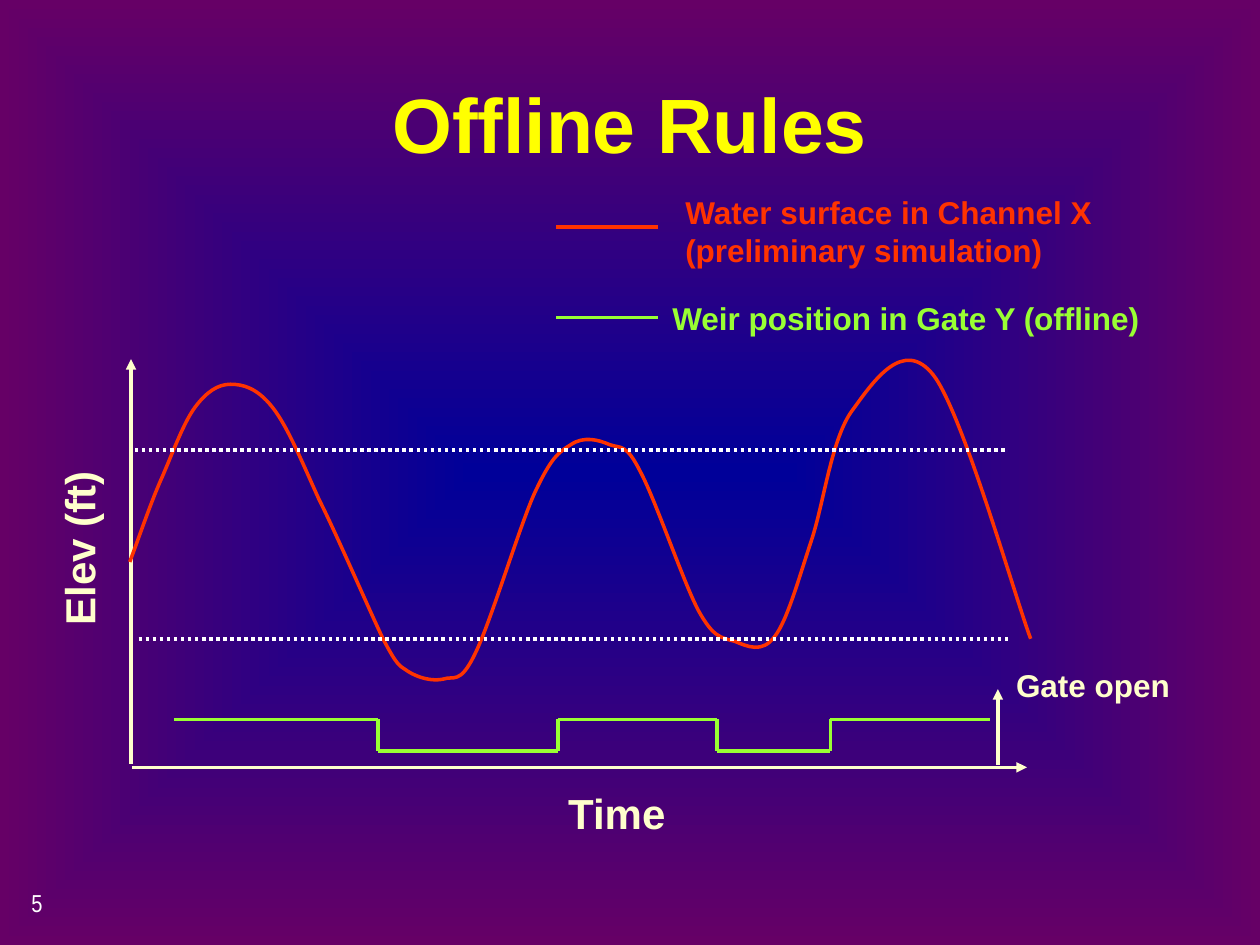
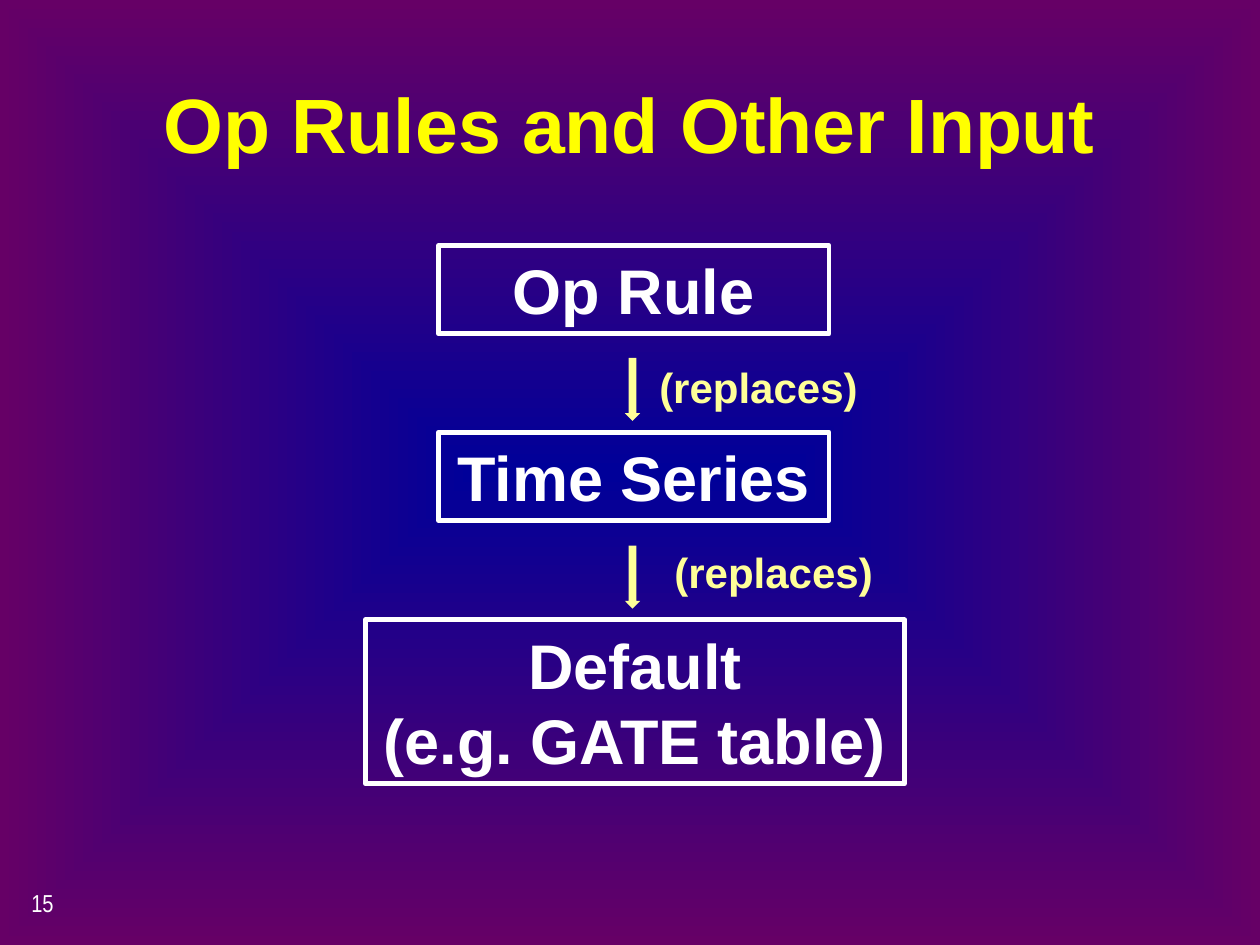
from dataclasses import dataclass
from itertools import pairwise

from lxml import etree
from pptx import Presentation
from pptx.dml.color import RGBColor
from pptx.enum.dml import MSO_LINE
from pptx.enum.shapes import MSO_CONNECTOR, MSO_SHAPE
from pptx.enum.text import MSO_ANCHOR as ANCHOR, PP_ALIGN as ALIGN
from pptx.oxml import parse_xml
from pptx.oxml.ns import nsdecls, qn
from pptx.util import Inches, Pt

COLORS = {
    "center": "000099", "edge": "660066", "title": "FFFF00",
    "axis": "FFFFCC", "water": "FF3300", "weir": "99FF33",
    "white": "FFFFFF", "arrow": "FFFF99",
}


@dataclass
class Label:
    text: str
    left: float
    top: float
    width: float
    height: float
    size: int
    color: str
    bold: bool = True
    font: str = "Arial"
    align: ALIGN = ALIGN.CENTER
    anchor: ANCHOR = ANCHOR.TOP
    rotation: int = 0


@dataclass
class Line:
    x1: float
    y1: float
    x2: float
    y2: float
    color: str
    arrow: bool = False
    dotted: bool = False


@dataclass
class Box:
    text: str
    left: float
    top: float
    width: float
    height: float


AXIS_LABELS = [
    Label("Elev (ft)", -1.05, 4.1, 3.35, 0.5, 24, "axis", rotation=270),
    Label("Time", 3.22, 6.2, 3.35, 0.5, 24, "axis"),
    Label("Gate open", 7.4, 5.24, 2.55, 0.4, 18, "axis"),
]
LEGEND_LABELS = [
    Label("Water surface in Channel X (preliminary simulation)",
          5.34, 1.63, 3.75, 0.4, 18, "water", align=ALIGN.LEFT, anchor=ANCHOR.MIDDLE),
    Label("Weir position in Gate Y (offline)",
          5.18, 2.32, 4.02, 0.4, 18, "weir", anchor=ANCHOR.MIDDLE),
]
AXES = [
    Line(1.05, 6.09, 8.15, 6.09, "axis", arrow=True),
    Line(1.04, 6.06, 1.04, 2.85, "axis", arrow=True),
]
GATE_ARROW = Line(7.92, 6.07, 7.92, 5.47, "axis", arrow=True)
THRESHOLDS = [
    Line(1.1, 5.07, 8, 5.07, "white", dotted=True),
    Line(1.07, 3.57, 7.98, 3.57, "white", dotted=True),
]
LEGEND_LINES = [
    Line(5.22, 1.8, 4.41, 1.8, "water"),
    Line(5.22, 2.52, 4.41, 2.52, "weir"),
]

WEIR_TIMES = [1.38, 3.0, 4.43, 5.69, 6.59, 7.86]
WEIR_HIGH, WEIR_LOW = 5.71, 5.96

# Start point, then three points (two handles and an end) for each curve
WATER_START = (1.03, 4.46)
WATER_CURVES = [
    [(1.12, 4.22), (1.2, 3.98), (1.29, 3.78)],
    [(1.38, 3.57), (1.46, 3.35), (1.55, 3.23)],
    [(1.64, 3.11), (1.73, 3.05), (1.83, 3.05)],
    [(1.93, 3.05), (2.04, 3.08), (2.16, 3.23)],
    [(2.28, 3.38), (2.39, 3.65), (2.53, 3.96)],
    [(2.68, 4.26), (2.93, 4.84), (3.04, 5.07)],
    [(3.16, 5.3), (3.17, 5.28), (3.24, 5.33)],
    [(3.32, 5.38), (3.43, 5.41), (3.52, 5.39)],
    [(3.6, 5.36), (3.65, 5.44), (3.77, 5.19)],
    [(3.89, 4.95), (4.12, 4.19), (4.24, 3.92)],
    [(4.37, 3.64), (4.43, 3.59), (4.53, 3.53)],
    [(4.63, 3.46), (4.75, 3.49), (4.84, 3.53)],
    [(4.93, 3.56), (4.97, 3.52), (5.08, 3.74)],
    [(5.2, 3.96), (5.42, 4.61), (5.54, 4.84)],
    [(5.66, 5.06), (5.72, 5.06), (5.83, 5.09)],
    [(5.93, 5.13), (6.05, 5.19), (6.15, 5.05)],
    [(6.25, 4.92), (6.34, 4.59), (6.44, 4.29)],
    [(6.54, 3.99), (6.6, 3.47), (6.77, 3.25)],
    [(6.93, 3.03), (7.17, 2.67), (7.41, 2.98)],
    [(7.64, 3.28), (8.05, 4.72), (8.18, 5.07)],
]

RULE_BOXES = [
    Box("Op Rule", 3.48, 1.95, 3.1, 0.7),
    Box("Time Series", 3.48, 3.43, 3.1, 0.7),
    Box("Default\n(e.g. GATE table)", 2.9, 4.92, 4.28, 1.3),
]
ARROW_TOPS = [2.84, 4.33]
REPLACES_LABELS = [
    Label("(replaces)", 5, 2.82, 2.04, 0.5, 24, "arrow"),
    Label("(replaces)", 5.12, 4.29, 2.04, 0.5, 24, "arrow"),
]


def rgb(name: str) -> RGBColor:
    return RGBColor.from_string(COLORS[name])


def set_background(master) -> None:
    """Give every slide a gradient that spreads from its center."""
    master.background.fill.solid()
    bg = master.element.cSld.find(qn("p:bg")).find(qn("p:bgPr"))
    solid = bg.find(qn("a:solidFill"))
    bg.replace(solid, parse_xml(
        f'<a:gradFill {nsdecls("a")} rotWithShape="0"><a:gsLst>'
        f'<a:gs pos="0"><a:srgbClr val="{COLORS["center"]}"/></a:gs>'
        f'<a:gs pos="100000"><a:srgbClr val="{COLORS["edge"]}"/></a:gs></a:gsLst>'
        '<a:path path="rect"><a:fillToRect l="50000" t="50000" r="50000" b="50000"/>'
        '</a:path></a:gradFill>'))


def write_text(sp, text: str, size: int, color: str, bold: bool = True,
               font: str = "Arial", align: ALIGN = ALIGN.CENTER,
               anchor: ANCHOR = ANCHOR.TOP) -> None:
    tf = sp.text_frame
    tf.word_wrap = True
    tf.vertical_anchor = anchor
    for i, line in enumerate(text.split("\n")):
        p = tf.add_paragraph() if i else tf.paragraphs[0]
        p.alignment = align
        r = p.add_run()
        r.text = line
        r.font.name = font
        r.font.size = Pt(size)
        r.font.bold = bold
        r.font.color.rgb = rgb(color)


def add_label(slide, label: Label) -> None:
    sp = slide.shapes.add_textbox(Inches(label.left), Inches(label.top),
                                  Inches(label.width), Inches(label.height))
    sp.rotation = label.rotation
    write_text(sp, label.text, label.size, label.color, label.bold,
               label.font, label.align, label.anchor)


def add_line(slide, line: Line) -> None:
    sp = slide.shapes.add_connector(MSO_CONNECTOR.STRAIGHT,
                                    Inches(line.x1), Inches(line.y1),
                                    Inches(line.x2), Inches(line.y2))
    sp.line.color.rgb = rgb(line.color)
    sp.line.width = Pt(2)
    if line.dotted:
        sp.line.dash_style = MSO_LINE.ROUND_DOT
    props = sp.element.spPr
    if line.arrow:
        etree.SubElement(props.find(qn("a:ln")), qn("a:tailEnd"), type="triangle")
    etree.SubElement(props, qn("a:effectLst"))


def add_water_curve(slide) -> None:
    """Draw the vertices as a freeform, then turn each three into one curve."""
    points = [(Inches(x), Inches(y)) for curve in WATER_CURVES for x, y in curve]
    builder = slide.shapes.build_freeform(*map(Inches, WATER_START))
    builder.add_line_segments(points, close=False)
    sp = builder.convert_to_shape()
    sp.shadow.inherit = False
    sp.fill.background()
    sp.line.color.rgb = rgb("water")
    sp.line.width = Pt(2)
    segments = list(sp.element.iter(qn("a:lnTo")))
    outline = segments[0].getparent()
    for i in range(0, len(segments), 3):
        curve = etree.SubElement(outline, qn("a:cubicBezTo"))
        for segment in segments[i:i + 3]:
            curve.append(segment[0])
            outline.remove(segment)


def add_weir_steps(slide) -> None:
    for i, (start, end) in enumerate(pairwise(WEIR_TIMES)):
        level = WEIR_LOW if i % 2 else WEIR_HIGH
        add_line(slide, Line(start, level, end, level, "weir"))
    for time in WEIR_TIMES[1:-1]:
        add_line(slide, Line(time, WEIR_LOW, time, WEIR_HIGH, "weir"))


def add_box(slide, box: Box) -> None:
    sp = slide.shapes.add_shape(MSO_SHAPE.RECTANGLE, Inches(box.left), Inches(box.top),
                                Inches(box.width), Inches(box.height))
    sp.shadow.inherit = False
    sp.fill.background()
    sp.line.color.rgb = rgb("white")
    sp.line.width = Pt(2.75)
    write_text(sp, box.text, 36, "white")


def add_down_arrow(slide, top: float) -> None:
    sp = slide.shapes.add_shape(MSO_SHAPE.DOWN_ARROW, Inches(4.96), Inches(top),
                                Inches(0.12), Inches(0.5))
    sp.shadow.inherit = False
    sp.fill.solid()
    sp.fill.fore_color.rgb = rgb("arrow")
    sp.line.fill.background()


def add_slide(prs, title: str, number: int):
    """Add a blank slide with the shared title and page number."""
    slide = prs.slides.add_slide(prs.slide_layouts[6])
    add_label(slide, Label(title, 0.75, 0.35, 8.5, 1.25, 44, "title",
                           anchor=ANCHOR.MIDDLE))
    add_label(slide, Label(str(number), 0.15, 7, 2.08, 0.5, 14, "white", bold=False,
                           font="Arial Narrow", align=ALIGN.LEFT))
    return slide


def build_offline_rules(prs) -> None:
    slide = add_slide(prs, "Offline Rules", 5)
    for axis in AXES:
        add_line(slide, axis)
    add_water_curve(slide)
    for line in THRESHOLDS:
        add_line(slide, line)
    add_weir_steps(slide)
    for line in [GATE_ARROW, *LEGEND_LINES]:
        add_line(slide, line)
    for label in AXIS_LABELS + LEGEND_LABELS:
        add_label(slide, label)


def build_other_input(prs) -> None:
    slide = add_slide(prs, "Op Rules and Other Input", 15)
    for box in RULE_BOXES:
        add_box(slide, box)
    for top in ARROW_TOPS:
        add_down_arrow(slide, top)
    for label in REPLACES_LABELS:
        add_label(slide, label)


def main() -> None:
    prs = Presentation()
    prs.slide_width = Inches(10)
    prs.slide_height = Inches(7.5)
    set_background(prs.slide_master)
    build_offline_rules(prs)
    build_other_input(prs)
    prs.save("out.pptx")


if __name__ == "__main__":
    main()
